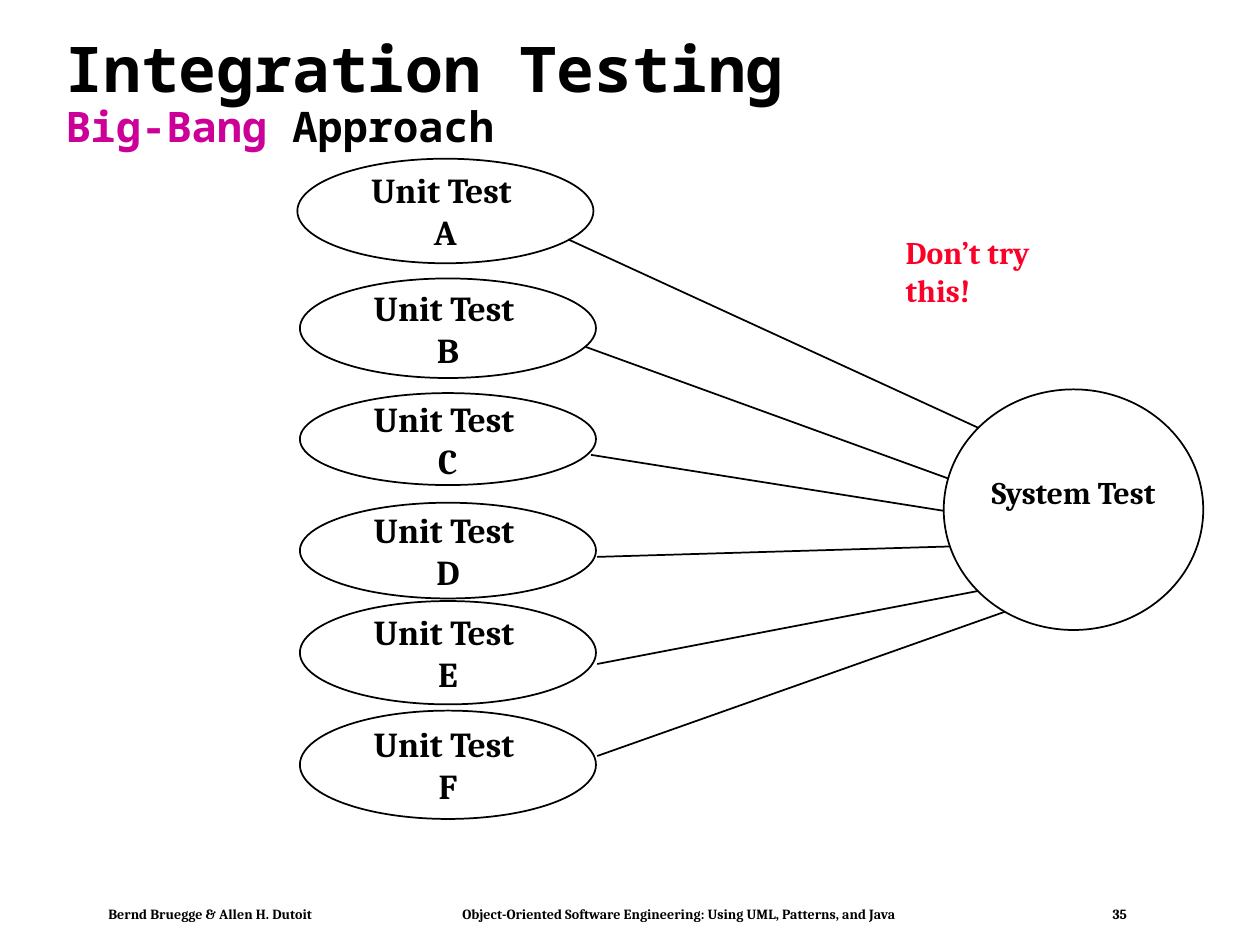
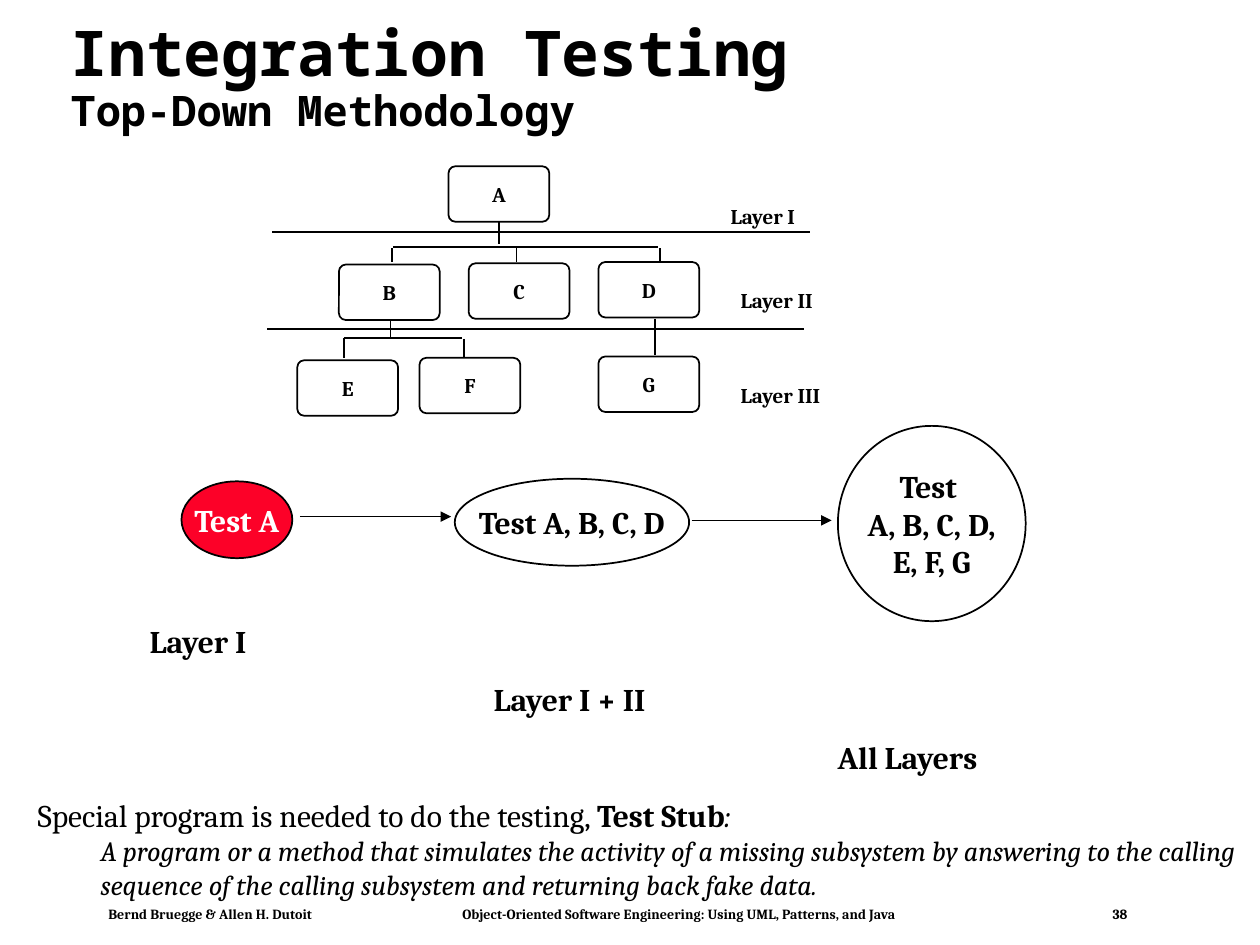
from copy import deepcopy
from dataclasses import dataclass

from pptx import Presentation
from pptx.dml.color import RGBColor as Rgb
from pptx.enum.shapes import MSO_CONNECTOR as Link, MSO_SHAPE as Form
from pptx.enum.text import MSO_ANCHOR as Anchor, MSO_AUTO_SIZE as Fit, PP_ALIGN as Align
from pptx.oxml.ns import qn
from pptx.util import Emu, Pt
from lxml.etree import SubElement as Sub

SCALE = 9144
COLORS = {"ink": "000000", "paper": "FFFFFF", "red": "FC0128", "pink": "CC0099"}
SERIF = "Cambria"
MONO = "Noto Sans Mono"
AUTHORS = "Bernd Bruegge & Allen H. Dutoit"
BOOK = "Object-Oriented Software Engineering: Using UML, Patterns, and Java"


@dataclass
class Node:
    text: str
    x: int
    y: int
    w: int
    h: int
    form: Form = Form.OVAL
    size: int = 18
    fill: str = ""
    color: str = "ink"
    base: int = 5


@dataclass
class Line:
    x: int
    y: int
    to_x: int
    to_y: int
    arrow: bool = False


@dataclass
class Label:
    text: str
    x: int
    y: int
    w: int
    h: int = 40
    size: int = 18
    color: str = "ink"
    wrap: bool = False


def px(value: int) -> Emu:
    return Emu(value * SCALE)


def tint(name: str) -> Rgb:
    return Rgb.from_string(COLORS[name])


def write(frame, text: str, *, size: int = 18, color: str = "ink", font: str = SERIF,
          bold: bool = True, slant: bool = False, align: Align = Align.LEFT,
          join: bool = False, split: bool = False):
    for part in text.split("\n"):
        para = frame.paragraphs[-1]
        if para.runs and not join:
            para = frame.add_paragraph()
        para.alignment = align
        if split:
            gap = para._p.add_br()
            gap.append(deepcopy(para.runs[-1]._r.rPr))
        run = para.add_run()
        run.text = part
        face = run.font
        face.name, face.size, face.bold, face.italic = font, Pt(size), bold, slant
        face.color.rgb = tint(color)
    return para


def pad(frame, side: int = 10, top: int = 5, base: int = 5) -> None:
    frame.margin_left = frame.margin_right = px(side)
    frame.margin_top, frame.margin_bottom = px(top), px(base)


def box(slide, x: int, y: int, w: int, h: int, wrap: bool = True):
    frame = slide.shapes.add_textbox(px(x), px(y), px(w), px(h)).text_frame
    frame.word_wrap = wrap
    pad(frame)
    return frame


def draw_node(slide, node: Node) -> None:
    shape = slide.shapes.add_shape(node.form, px(node.x), px(node.y), px(node.w), px(node.h))
    shape.shadow.inherit = False
    if node.form == Form.ROUNDED_RECTANGLE:
        shape.adjustments[0] = 0.125
    if node.fill:
        shape.fill.solid()
        shape.fill.fore_color.rgb = tint(node.fill)
    else:
        shape.fill.background()
    shape.line.color.rgb = tint("ink")
    shape.line.width = Pt(1)
    frame = shape.text_frame
    frame.word_wrap = False
    frame.vertical_anchor = Anchor.MIDDLE
    pad(frame, base=node.base)
    write(frame, node.text, size=node.size, color=node.color, align=Align.CENTER)


def draw_line(slide, line: Line) -> None:
    link = slide.shapes.add_connector(Link.STRAIGHT, px(line.x), px(line.y),
                                      px(line.to_x), px(line.to_y))
    link.line.color.rgb = tint("ink")
    link.line.width = Pt(1)
    if line.arrow:
        Sub(link.line._ln, qn("a:tailEnd"), type="triangle")
    Sub(link._element.spPr, qn("a:effectLst"))


def draw_label(slide, label: Label) -> None:
    frame = box(slide, label.x, label.y, label.w, label.h, label.wrap)
    write(frame, label.text, size=label.size, color=label.color)


def draw_all(slide, nodes: list[Node], lines: list[Line], labels: list[Label]) -> None:
    for line in lines:
        draw_line(slide, line)
    for node in nodes:
        draw_node(slide, node)
    for label in labels:
        draw_label(slide, label)


def foot(slide, page: int) -> None:
    frame = box(slide, 78, 715, 827, 21)
    pad(frame, 8, 4, 4)
    para = write(frame, f"{AUTHORS}\t{BOOK}\t{page}", size=8)
    tabs = Sub(para._p.get_or_add_pPr(), qn("a:tabLst"))
    for stop in (281, 797):
        Sub(tabs, qn("a:tab"), pos=str(px(stop)), algn="l")


def start(deck, page: int, x: int, w: int, h: int, parts: list[tuple[str, str]]):
    slide = deck.slides.add_slide(deck.slide_layouts[5])
    title = slide.shapes.title
    title.left, title.top, title.width, title.height = px(x), px(24), px(w), px(h)
    frame = title.text_frame
    frame.auto_size = Fit.NONE
    frame.word_wrap = True
    frame.vertical_anchor = Anchor.MIDDLE
    pad(frame)
    para = write(frame, "Integration Testing", size=36, font=MONO)
    para.line_spacing = 0.9
    for spot, (text, color) in enumerate(parts):
        write(frame, text, size=24, color=color, font=MONO, join=True, split=spot == 0)
    foot(slide, page)
    return slide


def big_bang(deck) -> None:
    slide = start(deck, 35, 42, 896, 102, [("Big-Bang", "pink"), (" Approach", "ink")])
    spans = [(236, 126, 83), (238, 221, 79), (238, 312, 73),
             (238, 399, 76), (238, 477, 82), (238, 564, 86)]
    nodes = [Node(f"Unit Test \n{name}", x, y, 235, h, size=20)
             for name, (x, y, h) in zip("ABCDEF", spans)]
    nodes.append(Node("System Test", 749, 309, 206, 191, fill="paper", base=33))
    lines = [Line(451, 190, 797, 349), Line(464, 275, 778, 389), Line(469, 361, 778, 410),
             Line(474, 442, 778, 433), Line(474, 527, 787, 467), Line(474, 600, 799, 485)]
    note = Label("Don’t try this!", 709, 180, 160, color="red", wrap=True)
    draw_all(slide, nodes, lines, [note])


def top_down(deck) -> None:
    slide = start(deck, 38, 46, 892, 77, [("Top-Down Methodology", "ink")])
    spots = {"A": (356, 132), "B": (269, 210), "C": (372, 209), "D": (475, 208),
             "E": (236, 286), "F": (333, 284), "G": (475, 283)}
    nodes = [Node(name, x, y, 80, 44, Form.ROUNDED_RECTANGLE, 12)
             for name, (x, y) in spots.items()]
    nodes += [Node("Test A", 144, 382, 88, 61, fill="red", color="paper"),
              Node("Test A, B, C, D", 361, 380, 186, 69),
              Node("Test \nA, B, C, D,\nE, F, G", 665, 338, 149, 155)]
    stems = [(396, 176, 194), (311, 197, 208), (410, 197, 208), (524, 197, 207),
             (310, 255, 268), (273, 268, 284), (368, 269, 283), (520, 253, 282)]
    bars = [(312, 522, 196), (273, 367, 268), (216, 643, 184), (212, 638, 261)]
    lines = [Line(x, top, x, end) for x, top, end in stems]
    lines += [Line(left, y, right, y) for left, right, y in bars]
    lines += [Line(238, 410, 358, 410, True), Line(549, 413, 660, 413, True)]
    labels = [Label("Layer I", 570, 157, 73, 30, 12),
              Label("Layer II", 578, 223, 80, 30, 12),
              Label("Layer III", 578, 299, 86, 30, 12),
              Label("Layer I", 109, 489, 100),
              Label("Layer I + II", 382, 535, 146),
              Label("All Layers", 655, 581, 132)]
    draw_all(slide, nodes, lines, labels)
    frame = box(slide, 20, 627, 980, 94)
    write(frame, "Special program is needed to do the testing, ", bold=False)
    write(frame, "Test Stub", join=True)
    write(frame, ":", bold=False, slant=True, join=True)
    para = write(frame, "A program or a method that simulates the activity of a missing "
                 "subsystem by answering to the calling sequence of the calling subsystem "
                 "and returning back fake data.", size=16, bold=False, slant=True)
    para.level = 1
    para._p.get_or_add_pPr().set("marL", str(px(50)))


def main() -> None:
    deck = Presentation()
    deck.slide_width, deck.slide_height = px(1000), px(750)
    big_bang(deck)
    top_down(deck)
    deck.save("out.pptx")


if __name__ == "__main__":
    main()
